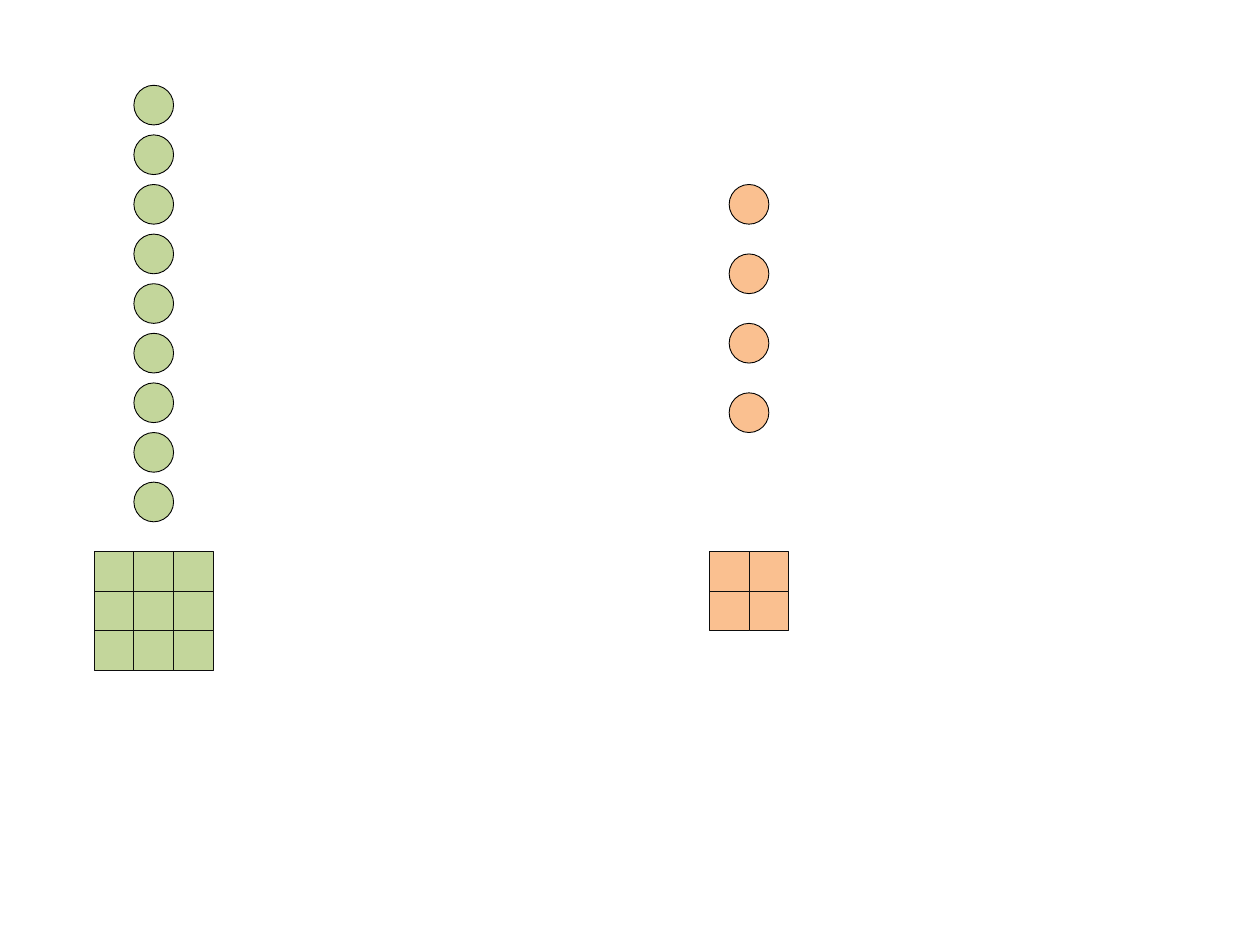
from pptx import Presentation
from pptx.dml.color import RGBColor
from pptx.enum.shapes import MSO_SHAPE as SHAPE
from pptx.util import Inches, Mm, Pt

CELL = 8           # side of a square and diameter of a circle, in mm
GRID_TOP = 111.2   # shared top edge of both square grids, in mm


def rgb(value):
    return RGBColor.from_string(value)


def add_cell(slide, kind, left, top, fill, line):
    sp = slide.shapes.add_shape(kind, Mm(left), Mm(top), Mm(CELL), Mm(CELL))
    sp.shadow.inherit = False
    sp.fill.solid()
    sp.fill.fore_color.rgb = rgb(fill)
    sp.line.color.rgb = rgb(line)
    sp.line.width = Pt(0.5)


def add_group(slide, left, top, side, pitch, fill):
    """Column of side * side circles, centred above a side by side grid."""
    # Circles
    circle_left = left + (side - 1) * CELL / 2
    for i in range(side * side):
        add_cell(slide, SHAPE.OVAL, circle_left, top + i * pitch, fill, "000000")

    # Squares
    for i in range(side * side):
        row, col = divmod(i, side)
        add_cell(slide, SHAPE.RECTANGLE, left + col * CELL,
                 GRID_TOP + row * CELL, fill, "0D0D0D")


def main():
    prs = Presentation()
    prs.slide_width, prs.slide_height = Inches(10), Inches(7.5)
    s = prs.slides.add_slide(prs.slide_layouts[6])
    add_group(s, left=19, top=17.2, side=3, pitch=10, fill="C3D69B")
    add_group(s, left=143, top=37.2, side=2, pitch=14, fill="FAC090")
    prs.save("out.pptx")


if __name__ == "__main__":
    main()
